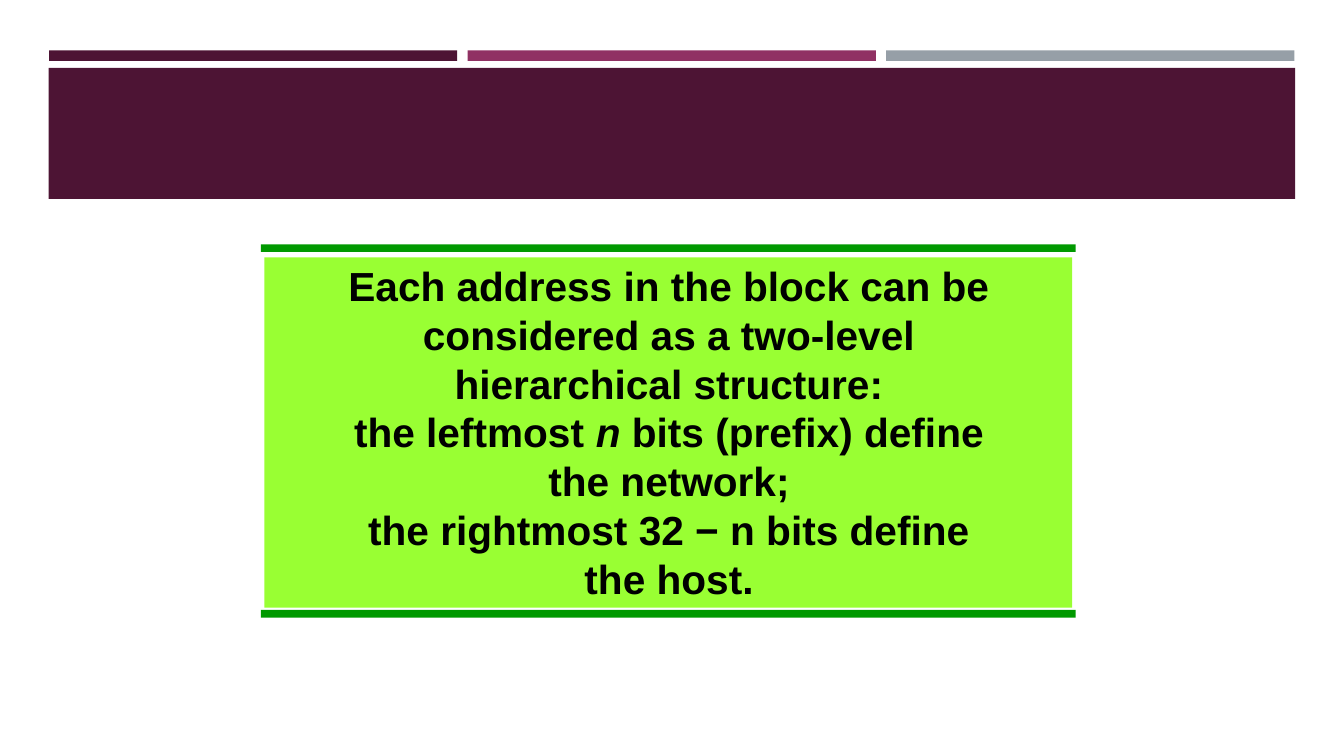
"""Build the slide on the two-level structure of a block address."""
from pptx import Presentation
from pptx.dml.color import RGBColor
from pptx.enum.shapes import MSO_SHAPE as Shape
from pptx.enum.text import MSO_ANCHOR as Anchor, PP_ALIGN as Align
from pptx.util import Pt

PLUM = RGBColor(0x4D, 0x14, 0x34)
MAGENTA = RGBColor(0x90, 0x31, 0x63)
GRAY = RGBColor(0x96, 0x9F, 0xA7)
GREEN = RGBColor(0x00, 0x99, 0x00)
LIME = RGBColor(0x99, 0xFF, 0x33)
BLACK = RGBColor(0x00, 0x00, 0x00)

presentation = Presentation()
presentation.slide_width = Pt(960)
presentation.slide_height = Pt(540)
slide = presentation.slides.add_slide(presentation.slide_layouts[6])


def add_bar(left, top, width, height, color):
    shape = slide.shapes.add_shape(
        Shape.RECTANGLE, Pt(left), Pt(top), Pt(width), Pt(height))
    shape.shadow.inherit = False
    shape.fill.solid()
    shape.fill.fore_color.rgb = color
    shape.line.fill.background()


for column, color in enumerate((PLUM, MAGENTA, GRAY)):
    add_bar(35 + column * 299, 36, 291.6, 7.5, color)
add_bar(34.8, 48.5, 890.4, 93.6, PLUM)

add_bar(188.8, 183.8, 577, 250.2, LIME)
for border_top in (174.5, 435.7):
    add_bar(186.4, border_top, 582, 5.5, GREEN)

statement = [
    [("Each address in the block can be considered as a two-level "
      "hierarchical structure:", False)],
    [("the leftmost ", False), ("n ", True),
     ("bits (prefix) define the network;", False)],
    [("the rightmost 32 − n bits define the host.", False)],
]
text_box = slide.shapes.add_textbox(Pt(246.5), Pt(185.8), Pt(463), Pt(247))
frame = text_box.text_frame
frame.word_wrap = True
frame.vertical_anchor = Anchor.TOP
frame.margin_left = frame.margin_right = frame.margin_bottom = 0
frame.margin_top = Pt(0.7)

for index, parts in enumerate(statement):
    paragraph = frame.add_paragraph() if index else frame.paragraphs[0]
    paragraph.alignment = Align.CENTER
    paragraph.font.name = "Arial"
    paragraph.font.size = Pt(29)
    paragraph.font.bold = True
    paragraph.font.color.rgb = BLACK
    for text, italic in parts:
        run = paragraph.add_run()
        run.text = text
        if italic:
            run.font.italic = True

presentation.save("out.pptx")
